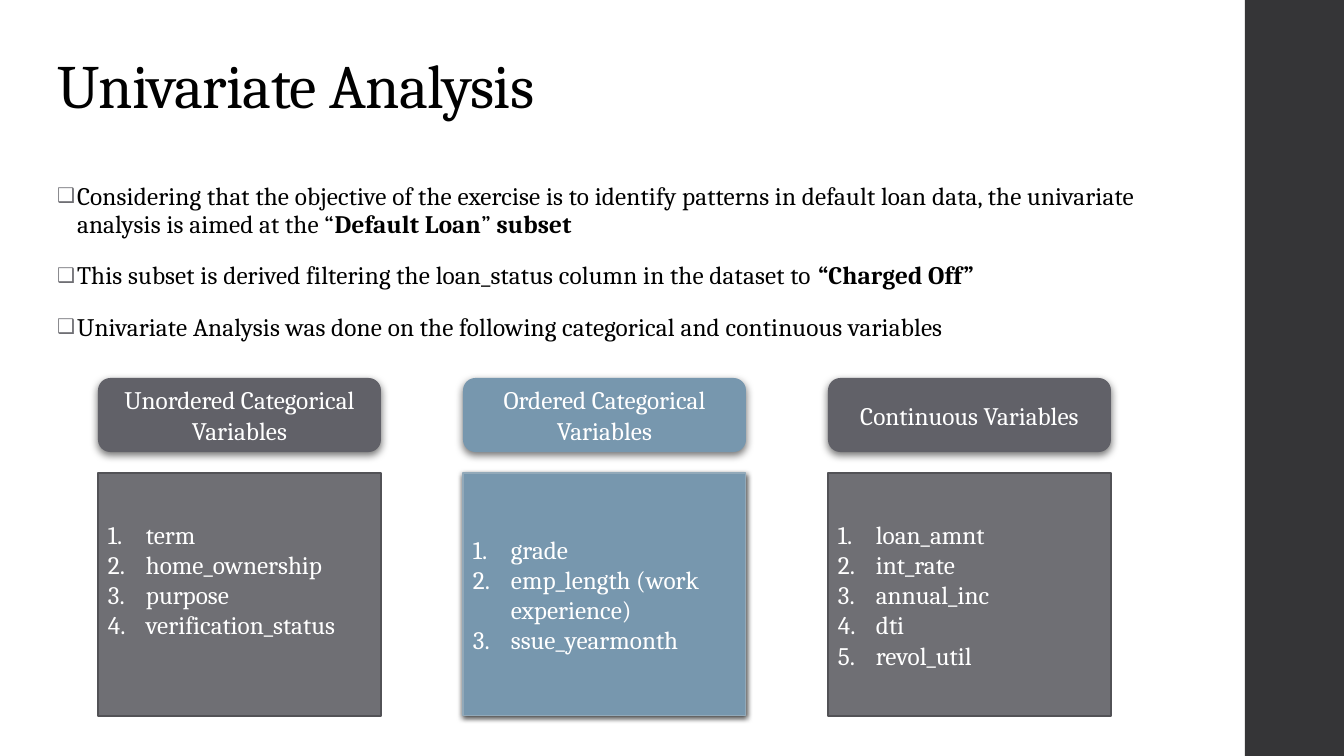
from lxml.etree import SubElement
from pptx import Presentation
from pptx.dml.color import RGBColor
from pptx.enum.shapes import MSO_SHAPE as Shape
from pptx.enum.text import MSO_ANCHOR as Anchor, MSO_AUTO_SIZE as AutoSize, PP_ALIGN as Align
from pptx.oxml.ns import qn
from pptx.util import Pt

EMU_PER_PX = 914400 / 100.8
FONT = "Cambria"
GREY, DARK_GREY, BLUE = "6F6F74", "616168", "7797AE"
COLUMN_LEFT, COLUMN_STEP, COLUMN_WIDTH = 98, 365, 283

POINTS = [
    [("Considering that the objective of the exercise is to identify patterns in default "
      "loan data, the univariate analysis is aimed at the “", False),
     ("Default Loan", True), ("” ", False), ("subset", True)],
    [("This subset is derived filtering the loan_status column in the dataset to ", False),
     ("“Charged Off”", True)],
    [("Univariate Analysis was done on the following categorical and continuous variables",
      False)],
]

# heading, variables, heading fill, list fill, list line, line width, list shadow, bottom inset
COLUMNS = [
    ("Unordered Categorical Variables",
     ["term", "home_ownership", "purpose", "verification_status"],
     DARK_GREY, GREY, "525256", 1.1, None, 35),
    ("Ordered Categorical Variables",
     ["grade", "emp_length (work experience)", "ssue_yearmonth"],
     BLUE, BLUE, "92A9B9", 0.75, (75, 4, 1.2), 5),
    ("Continuous Variables",
     ["loan_amnt", "int_rate", "annual_inc", "dti", "revol_util"],
     DARK_GREY, GREY, "525256", 1.1, None, 5),
]


def px(length):
    return round(length * EMU_PER_PX)


def color(hex_string):
    return RGBColor.from_string(hex_string)


def place(item, left, top, width, height):
    item.left, item.top = px(left), px(top)
    item.width, item.height = px(width), px(height)


def add_bullet(paragraph, indent, char=None):
    """Hang the paragraph behind a character, or behind a number if none is given."""
    props = paragraph._p.get_or_add_pPr()
    props.set("marL", str(px(indent)))
    props.set("indent", str(-px(indent)))
    if char:
        tint = SubElement(props, qn("a:buClr"))
        SubElement(tint, qn("a:srgbClr"), val=GREY)
        SubElement(props, qn("a:buSzPct"), val="80000")
        SubElement(props, qn("a:buChar"), char=char)
    else:
        SubElement(props, qn("a:buFont"), typeface="+mj-lt")
        SubElement(props, qn("a:buAutoNum"), type="arabicPeriod")


def write(frame, paragraphs, size=18, fill="000000", align=Align.LEFT, anchor=Anchor.TOP,
          line=None, before=None, after=None, spacing=0, indent=0, bullet=None):
    """Fill a text frame; each paragraph is a list of (text, bold) runs."""
    frame.word_wrap = True
    frame.auto_size = AutoSize.NONE
    frame.vertical_anchor = anchor
    for index, runs in enumerate(paragraphs):
        paragraph = frame.add_paragraph() if index else frame.paragraphs[0]
        paragraph.alignment = align
        paragraph.line_spacing = line
        paragraph.space_before = before
        paragraph.space_after = after
        if indent:
            add_bullet(paragraph, indent, bullet)
        for text, bold in runs:
            run = paragraph.add_run()
            run.text = text
            run.font.name, run.font.size, run.font.bold = FONT, Pt(size), bold
            run.font.color.rgb = color(fill)
            if spacing:
                run.font._element.set("spc", str(spacing))


def add_box(slide, kind, bounds, fill, line=None, line_width=0, shadow=None):
    """Add a filled shape; shadow is (opacity in percent, blur, distance in points)."""
    box = slide.shapes.add_shape(kind, *map(px, bounds))
    box.fill.solid()
    box.fill.fore_color.rgb = color(fill)
    if line:
        box.line.color.rgb = color(line)
        box.line.width = Pt(line_width)
    else:
        box.line.fill.background()
    box.shadow.inherit = False
    if shadow:
        opacity, blur, distance = shadow
        effects = box._element.spPr.find(qn("a:effectLst"))
        outer = SubElement(effects, qn("a:outerShdw"), blurRad=str(Pt(blur)),
                           dist=str(Pt(distance)), dir="5400000", algn="ctr", rotWithShape="0")
        tint = SubElement(outer, qn("a:srgbClr"), val="000000")
        SubElement(tint, qn("a:alpha"), val=str(opacity * 1000))
    return box


def add_column(slide, left, heading, variables, heading_fill, list_fill, line, line_width,
               shadow, bottom_inset):
    header = add_box(slide, Shape.ROUNDED_RECTANGLE, (left, 378, COLUMN_WIDTH, 74),
                     heading_fill, shadow=(55, 6, 2))
    write(header.text_frame, [[(heading, False)]], fill="FFFFFF", align=Align.CENTER,
          anchor=Anchor.MIDDLE)
    listing = add_box(slide, Shape.RECTANGLE, (left, 473, COLUMN_WIDTH, 243),
                      list_fill, line, line_width, shadow)
    listing.text_frame.margin_bottom = px(bottom_inset)
    write(listing.text_frame, [[(name, False)] for name in variables], fill="FFFFFF",
          anchor=Anchor.MIDDLE, indent=38)


def main():
    deck = Presentation()
    deck.slide_width, deck.slide_height = px(1344), px(756)
    slide = deck.slides.add_slide(deck.slide_layouts[1])
    add_box(slide, Shape.RECTANGLE, (1245, 0, 99, 756), "353537")

    title, body = slide.placeholders
    place(title, 47, 40, 1160, 87)
    write(title.text_frame, [[("Univariate Analysis", False)]], size=44,
          anchor=Anchor.BOTTOM, line=0.9, spacing=-50)
    place(body, 47, 177, 1160, 87)
    write(body.text_frame, POINTS, line=0.95, before=Pt(14), after=Pt(2), spacing=10,
          indent=20, bullet="❑")

    for index, column in enumerate(COLUMNS):
        add_column(slide, COLUMN_LEFT + index * COLUMN_STEP, *column)
    deck.save("out.pptx")


if __name__ == "__main__":
    main()
